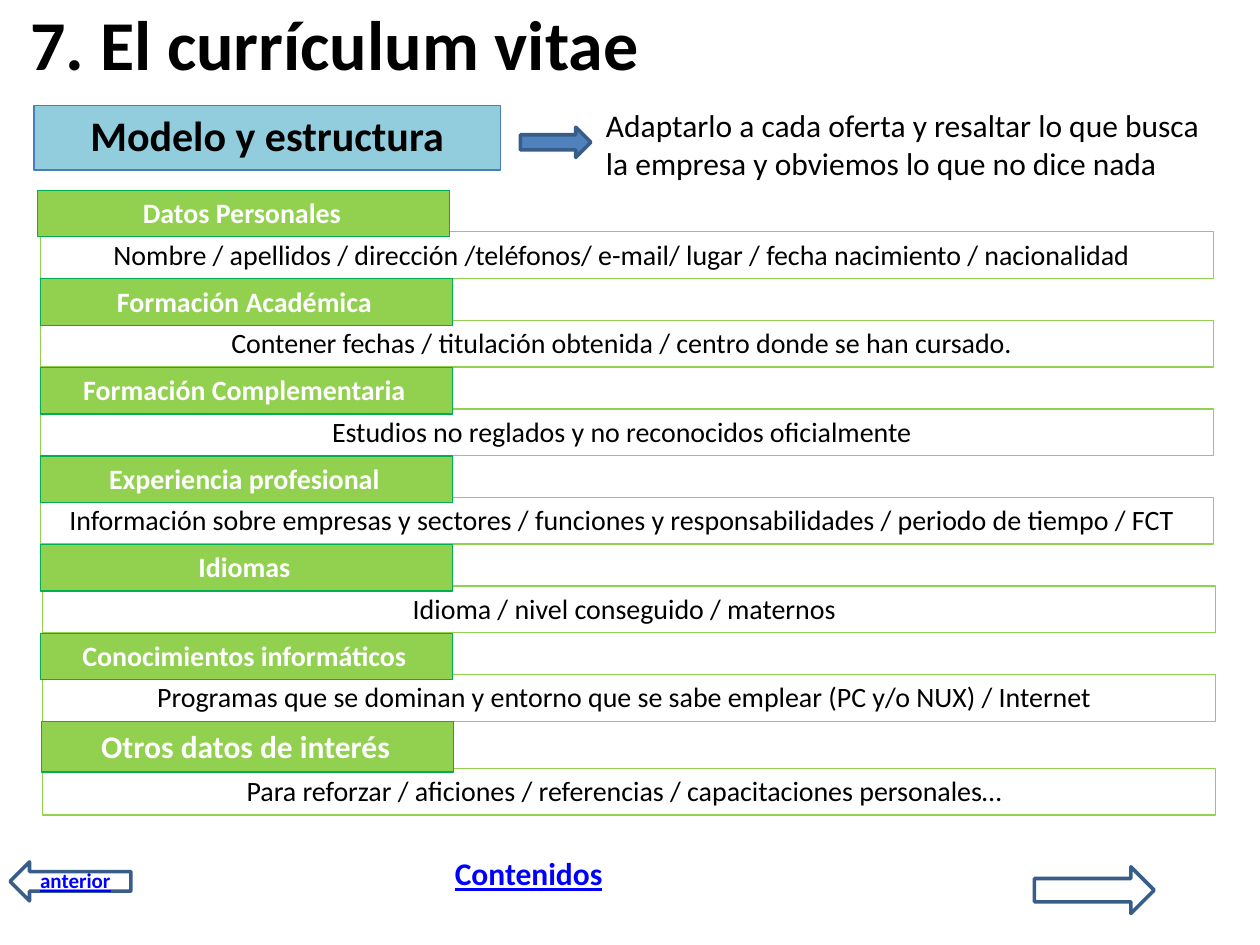
from dataclasses import dataclass

import pptx
import pptx.dml.color
import pptx.enum.shapes
import pptx.enum.text
import pptx.util

SHAPE = pptx.enum.shapes.MSO_SHAPE
ALIGN = pptx.enum.text.PP_ALIGN
ANCHOR = pptx.enum.text.MSO_ANCHOR

COLORS = {
    "black": "000000", "white": "FFFFFF", "link": "0000FF",
    "sky": "92CDDD", "sky_line": "497DBA",
    "blue": "4F81BC", "navy": "385D89",
    "green": "92D050", "green_line": "00AF50",
}

# Grid of 100 columns by 75 rows
CELL = pptx.util.Inches(0.1)
COLUMNS, ROWS = 100, 75

# Rhythm of the CV sections, in grid rows and columns
FIRST_ROW, PITCH = 15.1, 7.03
HEADING_W, DETAIL_W, BAR_H = 32.7, 93.1, 3.7


@dataclass
class Area:
    col: float
    row: float
    cols: float
    rows: float


@dataclass
class Section:
    heading: str
    detail: str
    heading_col: float = 3.2
    detail_col: float = 3.2
    heading_rows: float = BAR_H
    detail_offset: float = 3.3
    size: int = 16


@dataclass
class Arrow:
    kind: int
    area: Area
    fill: str | None = None
    label: str = ""


SECTIONS = [
    Section("Datos Personales", "Nombre / apellidos / dirección /teléfonos/ e-mail/ "
            "lugar / fecha nacimiento / nacionalidad", heading_col=3),
    Section("Formación Académica",
            "Contener fechas / titulación obtenida / centro donde se han cursado."),
    Section("Formación Complementaria",
            "Estudios no reglados y no reconocidos oficialmente"),
    Section("Experiencia profesional", "Información sobre empresas y sectores / funciones y "
            "responsabilidades / periodo de tiempo / FCT"),
    Section("Idiomas", "Idioma / nivel conseguido / maternos", detail_col=3.4),
    Section("Conocimientos informáticos", "Programas que se dominan y entorno que se sabe "
            "emplear (PC y/o NUX) / Internet", detail_col=3.4),
    Section("Otros datos de interés",
            "Para reforzar / aficiones / referencias / capacitaciones personales…",
            heading_col=3.3, detail_col=3.4, heading_rows=4, detail_offset=3.7, size=18),
]

ARROWS = [
    Arrow(SHAPE.RIGHT_ARROW, Area(41.3, 10.1, 5.6, 2.4), fill="blue"),
    Arrow(SHAPE.LEFT_ARROW, Area(0.8, 68.4, 9.6, 3.1), label="anterior"),
    Arrow(SHAPE.RIGHT_ARROW, Area(82.1, 68.8, 9.5, 3.7)),
]


def place(area: Area) -> list[int]:
    return [round(v * CELL) for v in (area.col, area.row, area.cols, area.rows)]


def rgb(name: str) -> pptx.dml.color.RGBColor:
    return pptx.dml.color.RGBColor.from_string(COLORS[name])


def write(sp, lines: list[str], font: dict, align=ALIGN.CENTER, anchor=ANCHOR.MIDDLE,
          wrap: bool = False, right: float = 0, bottom: float = 0.02) -> None:
    tf = sp.text_frame
    frame = {"margin_left": 0, "margin_top": 0,
             "margin_bottom": pptx.util.Inches(bottom),
             "margin_right": pptx.util.Inches(right),
             "word_wrap": wrap, "vertical_anchor": anchor}
    for name, value in frame.items():
        setattr(tf, name, value)
    for i, line in enumerate(lines):
        p = tf.paragraphs[0] if i == 0 else tf.add_paragraph()
        p.alignment = align
        r = p.add_run()
        r.text = line
        r.font.name = "Calibri"
        for name, value in font.items():
            if name == "color":
                r.font.color.rgb = rgb(value)
            else:
                setattr(r.font, name, pptx.util.Pt(value) if name == "size" else value)


def add_shape(s, kind: int, area: Area, fill: str | None, line: str, width: float):
    sp = s.shapes.add_shape(kind, *place(area))
    sp.shadow.inherit = False
    if fill:
        sp.fill.solid()
        sp.fill.fore_color.rgb = rgb(fill)
    else:
        sp.fill.background()
    sp.line.color.rgb = rgb(line)
    sp.line.width = pptx.util.Pt(width)
    return sp


def add_text(s, area: Area, lines: list[str], font: dict, anchor=ANCHOR.MIDDLE) -> None:
    write(s.shapes.add_textbox(*place(area)), lines, font, ALIGN.LEFT, anchor, wrap=True)


def add_section(s, section: Section, row: float) -> None:
    detail = Area(section.detail_col, row + section.detail_offset, DETAIL_W, BAR_H)
    sp = add_shape(s, SHAPE.RECTANGLE, detail, None, "green", 0.72)
    write(sp, [section.detail], {"size": 16, "color": "black"}, right=0.08)
    heading = Area(section.heading_col, row, HEADING_W, section.heading_rows)
    sp = add_shape(s, SHAPE.RECTANGLE, heading, "green", "green_line", 0.72)
    write(sp, [section.heading], {"size": section.size, "bold": True, "color": "white"},
          right=0.03)


def add_arrow(s, arrow: Arrow) -> None:
    sp = add_shape(s, arrow.kind, arrow.area, arrow.fill, "navy", 2.04)
    if arrow.label:
        write(sp, [arrow.label],
              {"size": 12, "bold": True, "underline": True, "color": "link"})


def main() -> None:
    prs = pptx.Presentation()
    prs.slide_width, prs.slide_height = COLUMNS * CELL, ROWS * CELL
    s = prs.slides.add_slide(prs.slide_layouts[6])

    # Title, subtitle and advice
    add_text(s, Area(2.4, 0, 60, 6.9), ["7. El currículum vitae"],
             {"size": 40, "bold": True, "color": "black"})
    sp = add_shape(s, SHAPE.RECTANGLE, Area(2.7, 8.4, 37, 5.1), "sky", "sky_line", 0.72)
    write(sp, ["Modelo y estructura"], {"size": 24, "bold": True, "color": "black"},
          bottom=0.06)
    add_text(s, Area(48.1, 8.4, 49, 6.1),
             ["Adaptarlo a cada oferta y resaltar lo que busca",
              "la empresa y obviemos lo que no dice nada"],
             {"size": 18, "color": "black"}, ANCHOR.TOP)

    # Sections of the CV
    for i, section in enumerate(SECTIONS):
        add_section(s, section, FIRST_ROW + i * PITCH)

    # Arrows and navigation
    for arrow in ARROWS:
        add_arrow(s, arrow)
    add_text(s, Area(36.1, 68, 13, 2.8), ["Contenidos"],
             {"size": 18, "bold": True, "underline": True, "color": "link"})

    prs.save("out.pptx")


if __name__ == "__main__":
    main()
